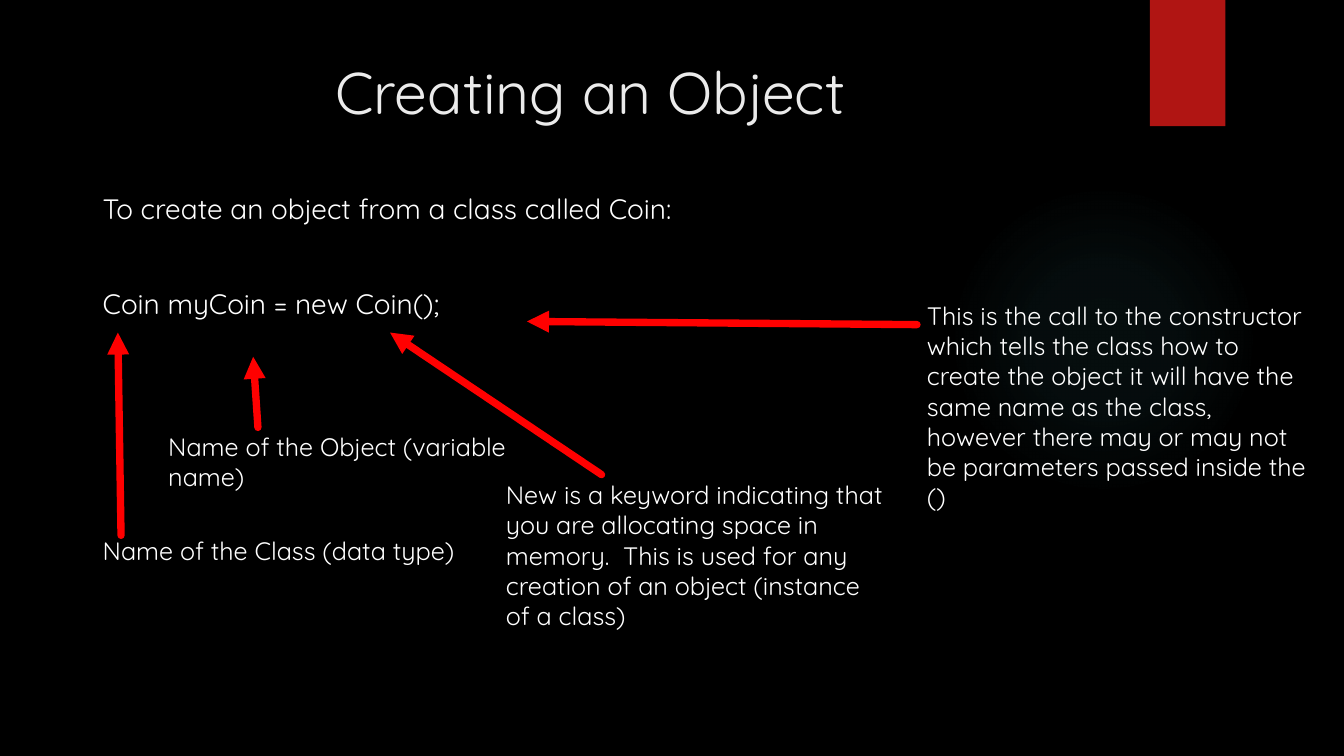
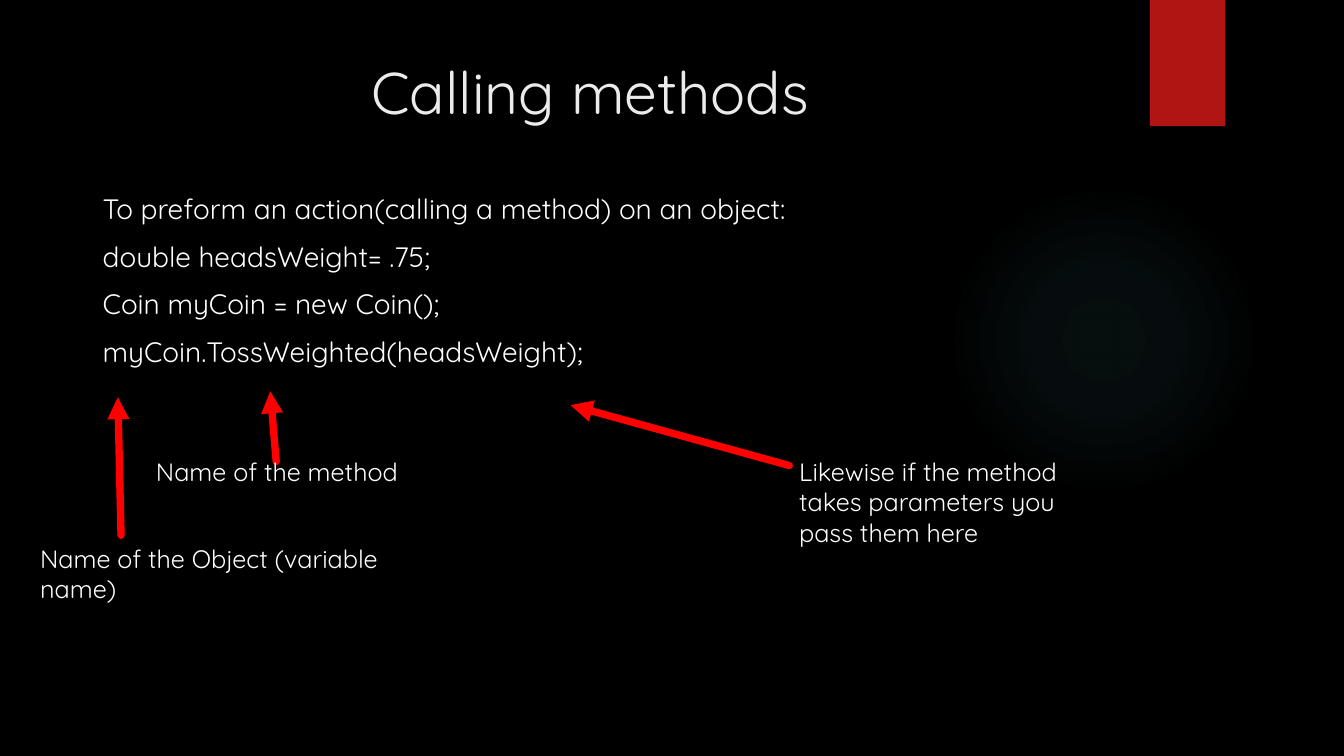
from pptx import Presentation
from pptx.dml.color import RGBColor
from pptx.enum.shapes import MSO_CONNECTOR, MSO_SHAPE
from pptx.enum.text import MSO_ANCHOR, MSO_AUTO_SIZE, PP_ALIGN
from pptx.oxml import parse_xml
from pptx.oxml.ns import nsdecls, qn
from pptx.util import Cm, Pt
from lxml.etree import SubElement

BLACK = RGBColor(0x00, 0x00, 0x00)
WHITE = RGBColor(0xFF, 0xFF, 0xFF)
TITLE_GREY = RGBColor(0xEB, 0xEB, 0xEB)
TAB_RED = RGBColor(0xB0, 0x15, 0x13)
ARROW_RED = RGBColor(0xFF, 0x00, 0x00)
GLOW_TEAL = RGBColor(0x50, 0xB9, 0xC1)
GLOW_STOPS = [(0, 7), (36, 6), (69, 0)]
FONT = "Quicksand"
NOTE_WIDTH = 10.08

CREATING_LINES = [
    ("To create an object from a class called Coin:", 10),
    ("Coin myCoin = new Coin();", 44),
]
CREATING_ARROWS = [
    ((6.5, 10.77), (6.38, 8.99)),
    ((3.05, 13.49), (2.97, 8.38)),
    ((15.16, 11.96), (9.83, 8.38)),
    ((23.11, 8.18), (13.28, 8.1)),
]
CREATING_NOTES = [
    ("Name of the Object (variable name)", (3.99, 10.74, NOTE_WIDTH, 1.02)),
    ("Name of the Class (data type)", (2.34, 13.36, NOTE_WIDTH, 1.02)),
    ("New is a keyword indicating that you are allocating space in memory.  "
     "This is used for any creation of an object (instance of a class)",
     (12.5, 11.96, NOTE_WIDTH, 3.33)),
    ("This is the call to the constructor which tells the class how to create "
     "the object it will have the same name as the class, however there may or "
     "may not be parameters passed inside the ()",
     (23.11, 7.44, NOTE_WIDTH, 4.88)),
]
CALLING_LINES = [
    ("To preform an action(calling a method) on an object:", 10),
    ("double headsWeight= .75;", 10),
    ("Coin myCoin = new Coin();", 10),
    ("myCoin.TossWeighted(headsWeight);", 10),
]
CALLING_ARROWS = [
    ((6.96, 11.63), (6.81, 9.86)),
    ((3.05, 13.49), (2.97, 10.01)),
    ((19.89, 11.73), (14.38, 10.21)),
]
CALLING_NOTES = [
    ("Name of the method", (3.68, 11.38, 11.33, 1.02)),
    ("Name of the Object (variable name)", (0.76, 13.56, NOTE_WIDTH, 1.02)),
    ("Likewise if the method takes parameters you pass them here",
     (19.89, 11.38, 8.05, 2.57)),
]


def lengths(*values):
    """Turn centimetre numbers into lengths."""
    return [Cm(value) for value in values]


def write_paragraph(para, text, size=18, color=WHITE, align=PP_ALIGN.LEFT, before=0):
    """Fill one paragraph with formatted text."""
    para.alignment = align
    para.space_before = Pt(before)
    span = para.add_run()
    span.text = text
    span.font.name = FONT
    span.font.size = Pt(size)
    span.font.color.rgb = color


def add_text_box(page, place, lines, auto_size=MSO_AUTO_SIZE.NONE, **style):
    """Add a wrapping text box from pairs of text and space before."""
    frame = page.shapes.add_textbox(*lengths(*place)).text_frame
    frame.word_wrap = True
    frame.auto_size = auto_size
    for index, (text, before) in enumerate(lines):
        para = frame.add_paragraph() if index else frame.paragraphs[0]
        write_paragraph(para, text, before=before, **style)


def add_plain_shape(page, kind, place):
    """Add a preset shape without outline or shadow."""
    shape = page.shapes.add_shape(kind, *lengths(*place))
    shape.shadow.inherit = False
    shape.line.fill.background()
    return shape


def add_glow(page):
    """Add the faint round glow."""
    glow = add_plain_shape(page, MSO_SHAPE.OVAL, (23.9, 4.65, 7.82, 7.82))
    glow.fill.background()
    stops = "".join(
        f'<a:gs pos="{position * 1000}"><a:srgbClr val="{GLOW_TEAL}">'
        f'<a:alpha val="{opacity * 1000}"/></a:srgbClr></a:gs>'
        for position, opacity in GLOW_STOPS
    )
    gradient = parse_xml(
        f'<a:gradFill {nsdecls("a")} rotWithShape="1"><a:gsLst>{stops}</a:gsLst>'
        '<a:path path="circle"><a:fillToRect l="50000" t="50000" r="50000" b="50000"/>'
        '</a:path></a:gradFill>'
    )
    properties = glow.element.spPr
    properties.replace(properties.find(qn("a:noFill")), gradient)


def add_tab(page):
    """Add the red tab hanging from the top edge."""
    tab = add_plain_shape(page, MSO_SHAPE.RECTANGLE, (28.98, 0, 1.9, 3.18))
    tab.fill.solid()
    tab.fill.fore_color.rgb = TAB_RED


def add_arrow(page, start, end):
    """Add a thick red arrow with round ends."""
    arrow = page.shapes.add_connector(MSO_CONNECTOR.STRAIGHT, *lengths(*start, *end))
    arrow.line.color.rgb = ARROW_RED
    arrow.line.width = Pt(5.25)
    properties = arrow.element.spPr
    outline = properties.find(qn("a:ln"))
    outline.set("cap", "rnd")
    SubElement(outline, qn("a:round"))
    SubElement(outline, qn("a:tailEnd")).set("type", "triangle")
    SubElement(properties, qn("a:effectLst"))


def set_title(page, text):
    """Place and format the title placeholder."""
    title = page.shapes.title
    title.left, title.top, title.width, title.height = lengths(1.8, 1.27, 26.14, 3.89)
    frame = title.text_frame
    frame.auto_size = MSO_AUTO_SIZE.NONE
    frame.vertical_anchor = MSO_ANCHOR.TOP
    write_paragraph(frame.paragraphs[0], text, size=42, color=TITLE_GREY,
                    align=PP_ALIGN.CENTER)


def add_page(deck, title, lines, arrows, notes):
    """Add a slide of code lines with arrows and notes."""
    page = deck.slides.add_slide(deck.slide_layouts[5])
    add_glow(page)
    add_tab(page)
    set_title(page, title)
    add_text_box(page, (2.34, 4.7, 29.21, 12.09), lines, size=20)
    for (start, end), (text, place) in zip(arrows, notes):
        add_arrow(page, start, end)
        add_text_box(page, place, [(text, 0)], MSO_AUTO_SIZE.SHAPE_TO_FIT_TEXT)


def main():
    """Build and save the deck."""
    deck = Presentation()
    deck.slide_width, deck.slide_height = lengths(33.87, 19.05)
    backdrop = deck.slide_master.background.fill
    backdrop.solid()
    backdrop.fore_color.rgb = BLACK
    add_page(deck, "Creating an Object", CREATING_LINES, CREATING_ARROWS, CREATING_NOTES)
    add_page(deck, "Calling methods", CALLING_LINES, CALLING_ARROWS, CALLING_NOTES)
    deck.save("out.pptx")


if __name__ == "__main__":
    main()
